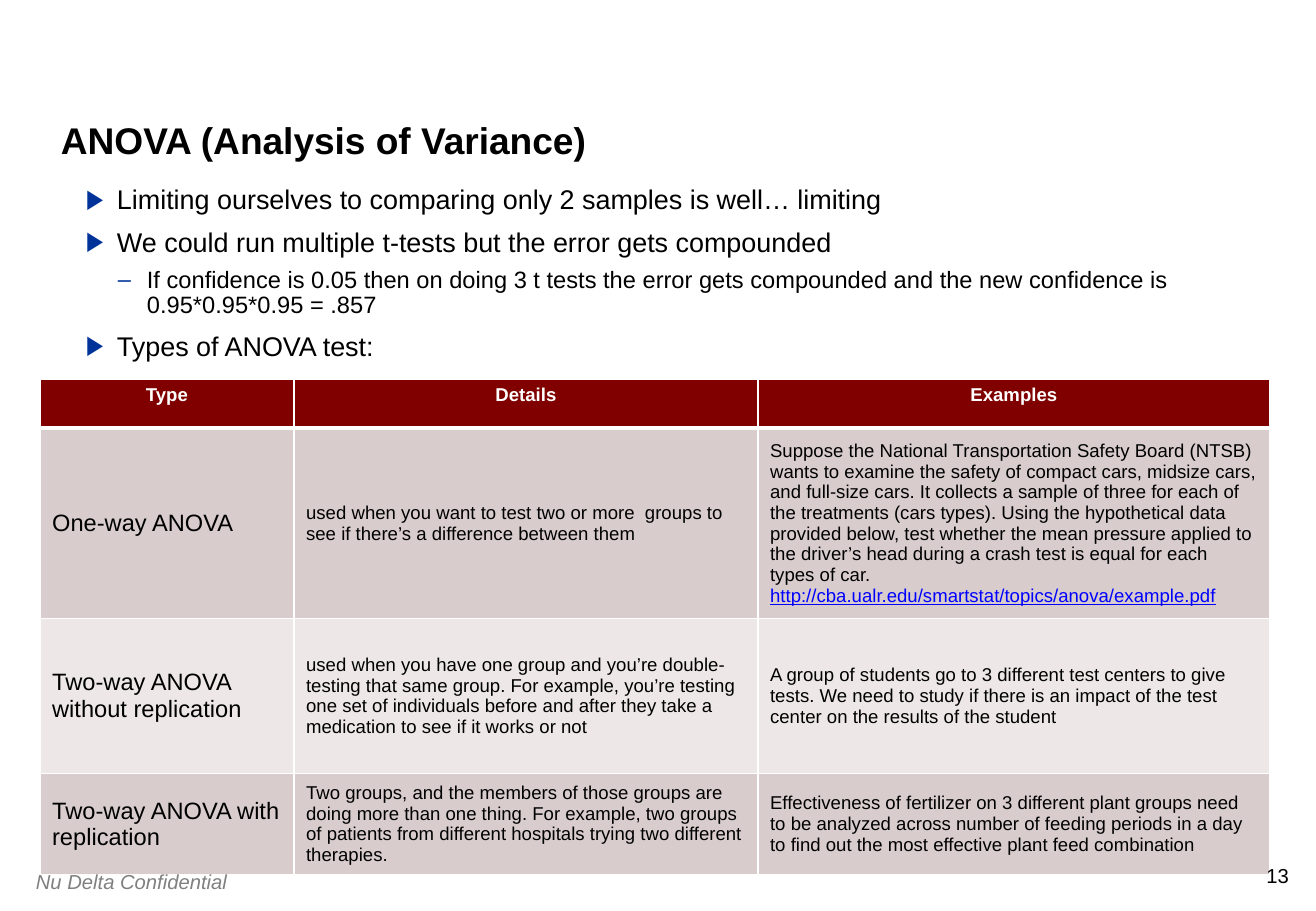
from lxml import etree
from pptx import Presentation, util as u
from pptx.dml.color import RGBColor
from pptx.enum import text as t
from pptx.oxml.ns import qn

SCALE = 914400 / 121.5  # EMU per px
HUES = {"ink": "000000", "mark": "003399", "head": "800000", "odd": "D8CCCC",
        "even": "EDE7E7", "edge": "FFFFFF", "link": "0000FF", "foot": "808080"}


def px(*vals):
    return [u.Emu(round(v * SCALE)) for v in vals]


def style(font, size, hue="ink", bold=False, ital=False):
    font.name, font.size = "Arial", u.Pt(size)
    font.bold, font.italic = bold, ital
    font.color.rgb = RGBColor.from_string(HUES[hue])


prs = Presentation()
prs.slide_width, prs.slide_height = px(1316, 911)
slide = prs.slides.add_slide(prs.slide_layouts[5])

# Title
title = slide.shapes.title
title.left, title.top, title.width, title.height = px(61, 51, 1194, 112)
frame = title.text_frame
frame.text = "ANOVA (Analysis of Variance)"
frame.word_wrap = True
frame.vertical_anchor = t.MSO_ANCHOR.BOTTOM
frame.margin_left = frame.margin_right = frame.margin_top = frame.margin_bottom = 0
para = frame.paragraphs[0]
para.alignment = t.PP_ALIGN.LEFT
para.line_spacing = 0.9
style(para.font, 22, bold=True)

# Bullets: level, text
points = [
    (0, "Limiting ourselves to comparing only 2 samples is well… limiting"),
    (0, "We could run multiple t-tests but the error gets compounded"),
    (1, "If confidence is 0.05 then on doing 3 t tests the error gets compounded "
        "and the new confidence is 0.95*0.95*0.95 = .857"),
    (0, "Types of ANOVA test:"),
]
# Per level: text indent px, hang px, mark, font size, line spacing
levels = [(31, 31, "▶", 16, 1.0), (61, 29, "–", 14, 0.9)]
frame = slide.shapes.add_textbox(*px(86, 183, 1164, 190)).text_frame
frame.word_wrap = True
frame.margin_left = frame.margin_right = frame.margin_top = frame.margin_bottom = 0
for i, (level, words) in enumerate(points):
    left, hang, mark, size, lead = levels[level]
    para = frame.add_paragraph() if i else frame.paragraphs[0]
    para.text, para.level = words, level
    para.line_spacing = lead
    para.space_before = u.Pt(6 if i else 0)
    props = para._p.get_or_add_pPr()
    props.set("marL", str(px(left)[0]))
    props.set("indent", str(px(-hang)[0]))
    hue = etree.SubElement(props, qn("a:buClr"))
    etree.SubElement(hue, qn("a:srgbClr"), val=HUES["mark"])
    etree.SubElement(props, qn("a:buFont"), typeface="Arial")
    etree.SubElement(props, qn("a:buChar"), char=mark)
    style(para.font, size)

# Table of test types
link = "http://cba.ualr.edu/smartstat/topics/anova/example.pdf"
rows = [
    ["Type", "Details", "Examples"],
    ["One-way ANOVA",
     "used when you want to test two or more  groups to see if there’s a difference "
     "between them",
     "Suppose the National Transportation Safety Board (NTSB) wants to examine the "
     "safety of compact cars, midsize cars, and full-size cars. It collects a sample "
     "of three for each of the treatments (cars types). Using the hypothetical data "
     "provided below, test whether the mean pressure applied to the driver’s head "
     "during a crash test is equal for each types of car.\n" + link],
    ["Two-way ANOVA without replication",
     "used when you have one group and you’re double-testing that same group. For "
     "example, you’re testing one set of individuals before and after they take a "
     "medication to see if it works or not",
     "A group of students go to 3 different test centers to give tests. We need to "
     "study if there is an impact of the test center on the results of the student"],
    ["Two-way ANOVA with replication",
     "Two groups, and the members of those groups are doing more than one thing. For "
     "example, two groups of patients from different hospitals trying two different "
     "therapies.",
     "Effectiveness of fertilizer on 3 different plant groups need to be analyzed "
     "across number of feeding periods in a day to find out the most effective plant "
     "feed combination"],
]
wide, high = px(254, 464, 512), px(49, 178, 155, 94)
table = slide.shapes.add_table(4, 3, *px(40, 379), sum(wide), sum(high)).table
for col, width in zip(table.columns, wide):
    col.width = width
for r, row in enumerate(rows):
    table.rows[r].height = high[r]
    for c, words in enumerate(row):
        cell = table.cell(r, c)
        cell.text = words
        cell.vertical_anchor = t.MSO_ANCHOR.MIDDLE if r else t.MSO_ANCHOR.TOP
        for para in cell.text_frame.paragraphs:
            para.alignment = t.PP_ALIGN.LEFT if r else t.PP_ALIGN.CENTER
            size = 14 if r and c == 0 else 11
            hue = "link" if para.text == link else "ink" if r else "edge"
            style(para.font, size, hue, bold=r == 0)
            if para.text == link:
                para.font.underline = True
        # White borders, thick under the header
        props = cell._tc.get_or_add_tcPr()
        for side in "LRTB":
            thick = (r, side) in [(0, "B"), (1, "T")]
            line = etree.SubElement(props, qn("a:ln" + side),
                                    w=str(u.Pt(3 if thick else 1)))
            fill = etree.SubElement(line, qn("a:solidFill"))
            etree.SubElement(fill, qn("a:srgbClr"), val=HUES["edge"])
        cell.fill.solid()
        band = "head" if r == 0 else "odd" if r % 2 else "even"
        cell.fill.fore_color.rgb = RGBColor.from_string(HUES[band])

# Footer and page number
foot = slide.shapes.add_textbox(*px(24, 863, 243, 36)).text_frame
foot.text = "Nu Delta Confidential"
style(foot.paragraphs[0].font, 12, "foot", ital=True)

page = slide.shapes.add_textbox(*px(1264, 863, 25, 24)).text_frame
page.margin_left = page.margin_right = page.margin_top = page.margin_bottom = 0
page.word_wrap = False
page.text = "13"
page.paragraphs[0].alignment = t.PP_ALIGN.RIGHT
style(page.paragraphs[0].font, 12)

prs.save("out.pptx")
